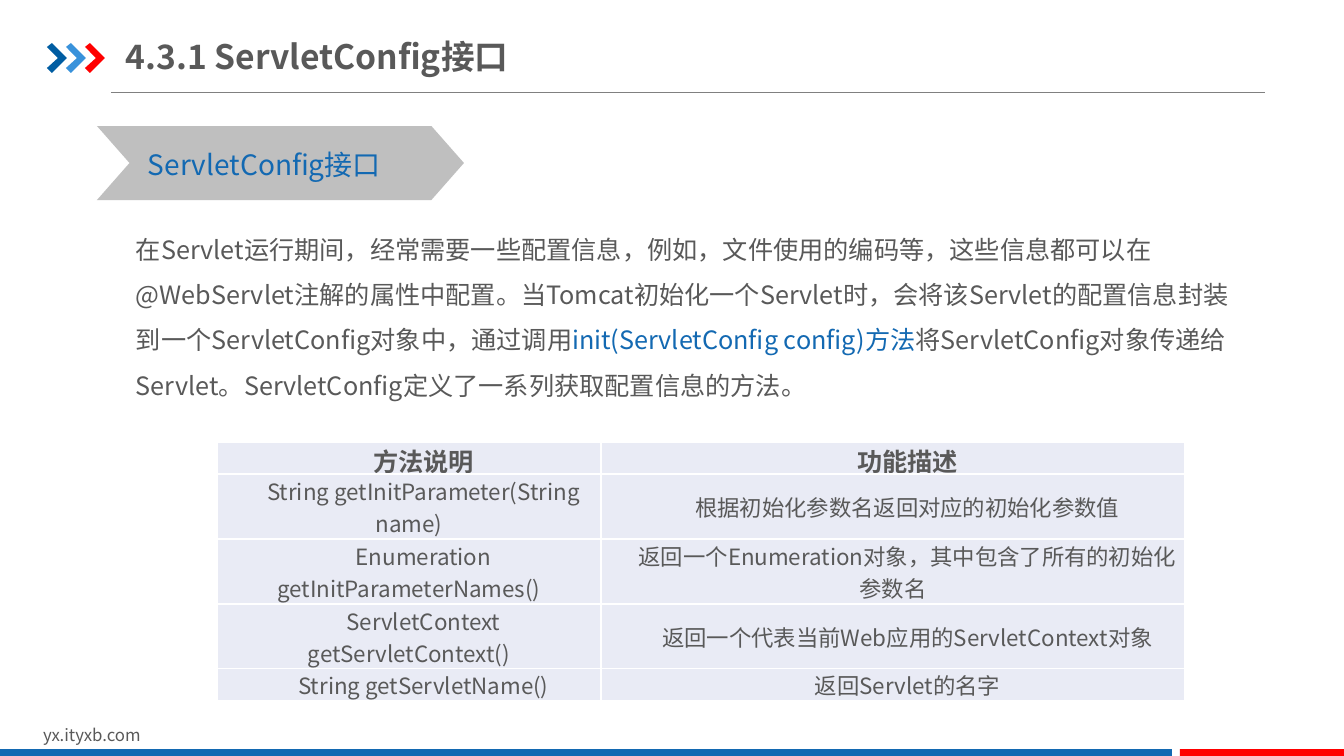
from lxml import etree
from pptx import Presentation
from pptx.dml.color import RGBColor
from pptx.enum.shapes import MSO_CONNECTOR, MSO_SHAPE
from pptx.enum.text import MSO_ANCHOR, MSO_AUTO_SIZE, PP_ALIGN
from pptx.oxml import parse_xml
from pptx.oxml.ns import nsdecls, qn
from pptx.util import Pt

RECT, CHEVRON = MSO_SHAPE.RECTANGLE, MSO_SHAPE.CHEVRON
STRAIGHT = MSO_CONNECTOR.STRAIGHT
TOP, MIDDLE = MSO_ANCHOR.TOP, MSO_ANCHOR.MIDDLE
LEFT, CENTER = PP_ALIGN.LEFT, PP_ALIGN.CENTER
GROW = MSO_AUTO_SIZE.SHAPE_TO_FIT_TEXT

FONT = "Noto Sans CJK SC"
GRAY = RGBColor(0x59, 0x59, 0x59)
RULE = RGBColor(0x80, 0x80, 0x80)
SILVER = RGBColor(0xBF, 0xBF, 0xBF)
BLUE = RGBColor(0x13, 0x69, 0xB2)
NAVY = RGBColor(0x00, 0x5D, 0xA2)
SKY = RGBColor(0x39, 0x92, 0xDB)
RED = RGBColor(0xFF, 0x00, 0x00)
CELL = RGBColor(0xE9, 0xEB, 0xF5)

TITLE = "4.3.1 ServletConfig接口"
BANNER = "ServletConfig接口"
SITE = "yx.ityxb.com"
BODY = [
    ("在Servlet运行期间，经常需要一些配置信息，例如，文件使用的编码等，"
     "这些信息都可以在@WebServlet注解的属性中配置。当Tomcat初始化一个Servlet时，"
     "会将该Servlet的配置信息封装到一个ServletConfig对象中，通过调用", GRAY),
    ("init(ServletConfig config)方法", BLUE),
    ("将ServletConfig对象传递给Servlet。ServletConfig定义了一系列获取配置信息的方法。", GRAY),
]
METHODS = [
    ("方法说明", "功能描述"),
    ("String getInitParameter(String name)", "根据初始化参数名返回对应的初始化参数值"),
    ("Enumeration getInitParameterNames()", "返回一个Enumeration对象，其中包含了所有的初始化参数名"),
    ("ServletContext getServletContext()", "返回一个代表当前Web应用的ServletContext对象"),
    ("String getServletName()", "返回Servlet的名字"),
]
COL_WIDTHS = (384, 584)
ROW_HEIGHTS = (32, 65, 65, 65, 32)
ARROW = [(0, 4), (5, 0), (20, 15), (5, 30), (0, 25), (11, 15)]
ARROW_COLORS = (NAVY, SKY, RED)
ARROW_LEFT, ARROW_TOP, ARROW_STEP = 47, 43, 19

EMU_PER_PX = 914400 / 100.8


def px(n):
    return round(n * EMU_PER_PX)


def write(p, text, size, color=GRAY, bold=False):
    r = p.add_run()
    r.text = text
    r.font.name, r.font.size, r.font.bold = FONT, Pt(size), bold
    r.font.color.rgb = color
    etree.SubElement(r.font._element, qn("a:ea")).set("typeface", FONT)


def add_text(s, runs, box, size, bold=False, anchor=TOP, insets=(10, 5),
             spacing=None, wrap=True, grow=False):
    tf = s.shapes.add_textbox(*map(px, box)).text_frame
    tf.word_wrap, tf.vertical_anchor = wrap, anchor
    if grow:
        tf.auto_size = GROW
    tf.margin_left = tf.margin_right = px(insets[0])
    tf.margin_top = tf.margin_bottom = px(insets[1])
    p = tf.paragraphs[0]
    p.alignment = LEFT
    if spacing:
        p.line_spacing = spacing
    for text, color in runs:
        write(p, text, size, color, bold)


def paint(sp, color):
    sp.shadow.inherit = False
    sp.fill.solid()
    sp.fill.fore_color.rgb = color
    sp.line.fill.background()


def add_block(s, kind, box, color):
    sp = s.shapes.add_shape(kind, *map(px, box))
    paint(sp, color)
    return sp


def add_rule(s, x1, x2, y):
    c = s.shapes.add_connector(STRAIGHT, px(x1), px(y), px(x2), px(y))
    c.line.color.rgb, c.line.width = RULE, Pt(0.5)
    etree.SubElement(c._element.spPr, qn("a:effectLst"))


def add_arrows(s):
    for i, color in enumerate(ARROW_COLORS):
        left = ARROW_LEFT + i * ARROW_STEP
        points = [(left + x, ARROW_TOP + y) for x, y in ARROW]
        fb = s.shapes.build_freeform(*points[0], scale=EMU_PER_PX)
        fb.add_line_segments(points[1:], close=True)
        paint(fb.convert_to_shape(), color)


def fill_cell(cell, text, header):
    cell.margin_left = cell.margin_right = px(7)
    cell.margin_top = cell.margin_bottom = 0
    cell.vertical_anchor = TOP if header else MIDDLE
    tc_pr = cell._tc.get_or_add_tcPr()
    for side in "LRTB":
        tc_pr.append(parse_xml(
            f'<a:ln{side} w="12700" {nsdecls("a")}><a:solidFill>'
            f'<a:srgbClr val="FFFFFF"/></a:solidFill></a:ln{side}>'))
    cell.fill.solid()
    cell.fill.fore_color.rgb = CELL
    p = cell.text_frame.paragraphs[0]
    p.alignment = CENTER
    p_pr = p._p.get_or_add_pPr()
    p_pr.set("marL", "0")
    p_pr.set("indent", str(px(29)))
    write(p, text, 18 if header else 16, bold=header)


def add_methods(s, left, top):
    table = s.shapes.add_table(
        len(METHODS), len(COL_WIDTHS), px(left), px(top),
        px(sum(COL_WIDTHS)), px(sum(ROW_HEIGHTS))).table
    for col, w in zip(table.columns, COL_WIDTHS):
        col.width = px(w)
    for i, (row, h, texts) in enumerate(zip(table.rows, ROW_HEIGHTS, METHODS)):
        row.height = px(h)
        for cell, text in zip(row.cells, texts):
            fill_cell(cell, text, header=i == 0)


def main():
    prs = Presentation()
    prs.slide_width, prs.slide_height = px(1344), px(756)
    s = prs.slides.add_slide(prs.slide_layouts[6])
    add_rule(s, 111, 1265, 92)
    add_arrows(s)
    add_text(s, [(SITE, GRAY)], (33, 720, 321, 30), 12, grow=True)
    add_block(s, RECT, (0, 749, 1172, 9), BLUE)
    add_block(s, RECT, (1180, 749, 164, 9), RED)
    add_text(s, [(TITLE, GRAY)], (126, 29, 493, 55), 24, bold=True,
             anchor=MIDDLE, insets=(0, 7))
    banner = add_block(s, CHEVRON, (97, 126, 367, 74), SILVER)
    banner.adjustments[0] = 0.44
    add_text(s, [(BANNER, BLUE)], (138, 142, 260, 44), 20, wrap=False, grow=True)
    add_text(s, BODY, (126, 214, 1124, 199), 18, spacing=1.5)
    add_methods(s, 217, 442)
    prs.save("out.pptx")


if __name__ == "__main__":
    main()
